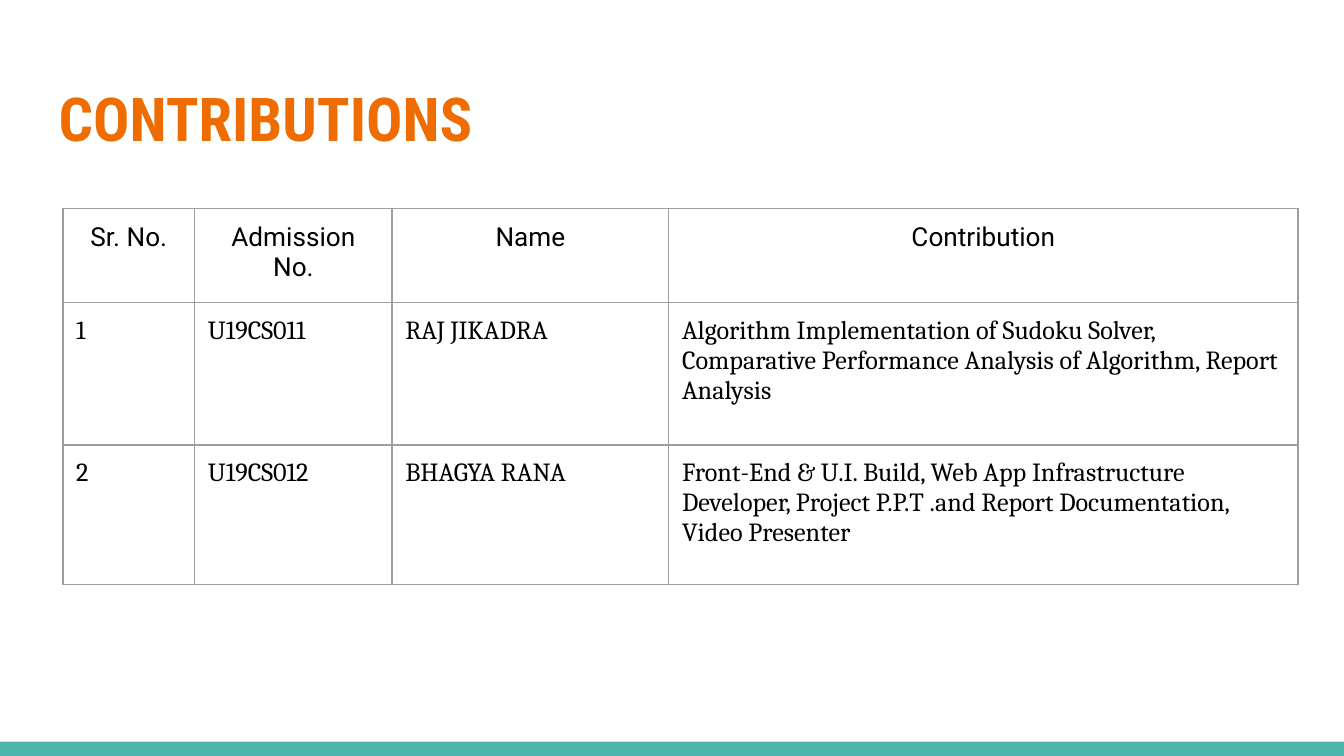
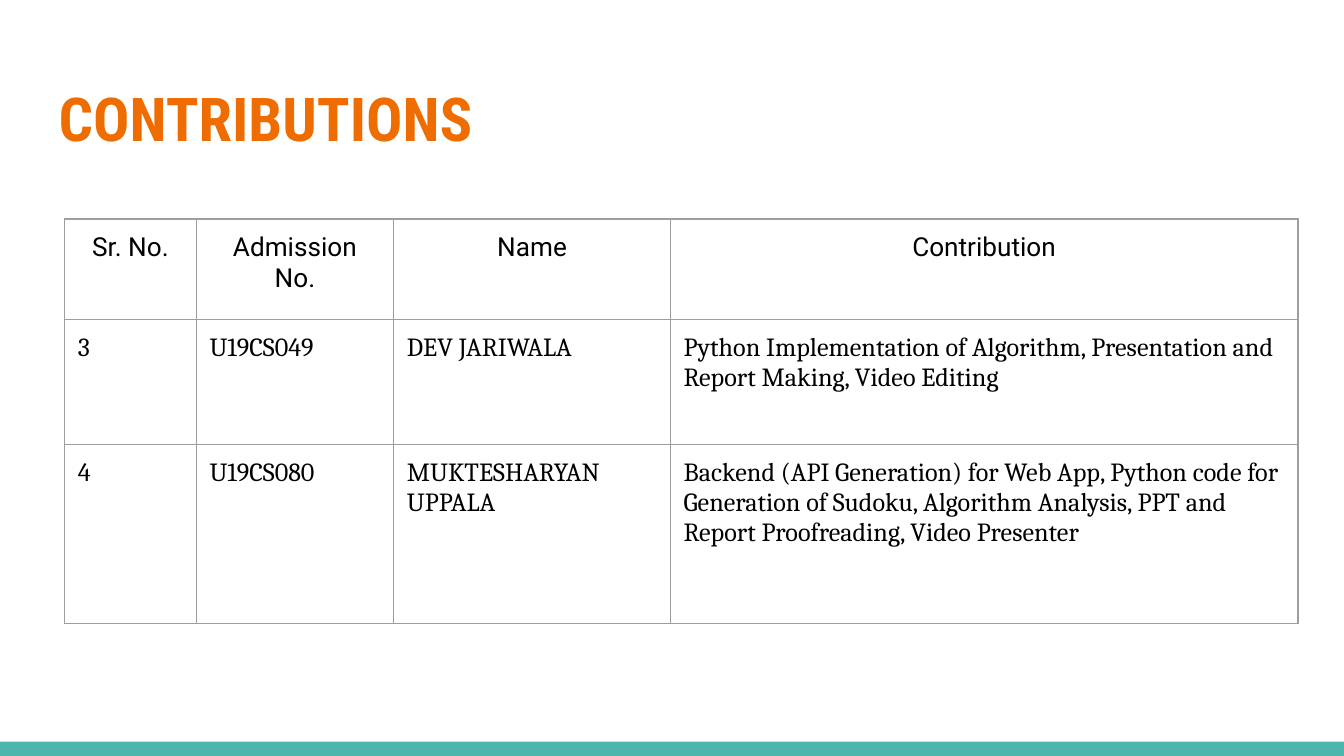
"""Build two slides that list who contributed what."""
from lxml.etree import SubElement
from pptx import Presentation
from pptx.dml.color import RGBColor
from pptx.enum.shapes import MSO_SHAPE
from pptx.enum.text import MSO_ANCHOR, MSO_AUTO_SIZE, PP_ALIGN
from pptx.oxml.ns import qn
from pptx.util import Cm, Pt

INK = {"title": "EF6C00", "band": "4DB6AC", "rule": "9E9E9E", "text": "000000"}
TITLE = "CONTRIBUTIONS"
HEAD = ("Sr. No.", "Admission No.", "Name", "Contribution")
PAGES = [
    {
        "left": 1.19, "top": 3.94, "tall": (1.78, 2.69, 2.64),
        "rows": [
            ("1", "U19CS011", "RAJ JIKADRA",
             "Algorithm Implementation of Sudoku Solver, Comparative "
             "Performance Analysis of Algorithm, Report Analysis"),
            ("2", "U19CS012", "BHAGYA RANA",
             "Front-End & U.I. Build, Web App Infrastructure Developer, "
             "Project P.P.T .and Report Documentation, Video Presenter"),
        ],
    },
    {
        "left": 1.22, "top": 4.14, "tall": (1.9, 2.36, 3.38),
        "rows": [
            ("3", "U19CS049", "DEV JARIWALA",
             "Python Implementation of Algorithm, Presentation and Report "
             "Making, Video Editing"),
            ("4", "U19CS080", "MUKTESHARYAN UPPALA",
             "Backend (API Generation) for Web App, Python code for "
             "Generation of Sudoku, Algorithm Analysis, PPT and Report "
             "Proofreading, Video Presenter"),
        ],
    },
]
WIDE, HIGH = 25.4, 14.29
BAND = 0.27
EDGE = 24.53
COLS = (2.49, 3.73, 5.23)
PAD = Cm(0.25)


def write(box, text, font="Cambria", size=14, ink="text", bold=False,
          align=PP_ALIGN.LEFT):
    frame = box.text_frame
    frame.text = text
    para = frame.paragraphs[0]
    para.alignment = align
    face = para.runs[0].font
    face.name, face.size, face.bold = font, Pt(size), bold
    face.color.rgb = RGBColor.from_string(INK[ink])


def pad(box):
    box.margin_left = box.margin_right = PAD
    box.margin_top = box.margin_bottom = PAD


def rule(cell):
    props = cell._tc.get_or_add_tcPr()
    for side in ("a:lnL", "a:lnR", "a:lnT", "a:lnB"):
        line = SubElement(props, qn(side), w=str(Pt(0.75)))
        fill = SubElement(line, qn("a:solidFill"))
        SubElement(fill, qn("a:srgbClr"), val=INK["rule"])


def add_band(slide):
    band = slide.shapes.add_shape(
        MSO_SHAPE.RECTANGLE, 0, Cm(HIGH - BAND), Cm(WIDE), Cm(BAND))
    band.shadow.inherit = False
    band.fill.solid()
    band.fill.fore_color.rgb = RGBColor.from_string(INK["band"])
    band.line.fill.background()


def add_title(slide):
    title = slide.shapes.title
    title.left, title.top = Cm(0.86), Cm(1.24)
    title.width, title.height = Cm(23.67), Cm(1.96)
    write(title, TITLE, font="Roboto Condensed", size=32.4, ink="title",
          bold=True)
    frame = title.text_frame
    pad(frame)
    frame.auto_size = MSO_AUTO_SIZE.NONE
    frame.vertical_anchor = MSO_ANCHOR.MIDDLE


def add_grid(slide, page):
    rows = [HEAD] + page["rows"]
    span = EDGE - page["left"]
    cols = COLS + (span - sum(COLS),)
    grid = slide.shapes.add_table(
        len(rows), len(cols), Cm(page["left"]), Cm(page["top"]),
        Cm(span), Cm(sum(page["tall"]))).table
    grid.first_row = grid.horz_banding = False
    for col, wide in zip(grid.columns, cols):
        col.width = Cm(wide)
    for r, (row, tall) in enumerate(zip(rows, page["tall"])):
        grid.rows[r].height = Cm(tall)
        look = {"font": "Roboto", "align": PP_ALIGN.CENTER} if r == 0 else {}
        for c, text in enumerate(row):
            cell = grid.cell(r, c)
            write(cell, text, **look)
            pad(cell)
            rule(cell)
            cell.fill.background()


def main():
    deck = Presentation()
    deck.slide_width, deck.slide_height = Cm(WIDE), Cm(HIGH)
    for page in PAGES:
        slide = deck.slides.add_slide(deck.slide_layouts[5])
        add_band(slide)
        add_title(slide)
        add_grid(slide, page)
    deck.save("out.pptx")


if __name__ == "__main__":
    main()
